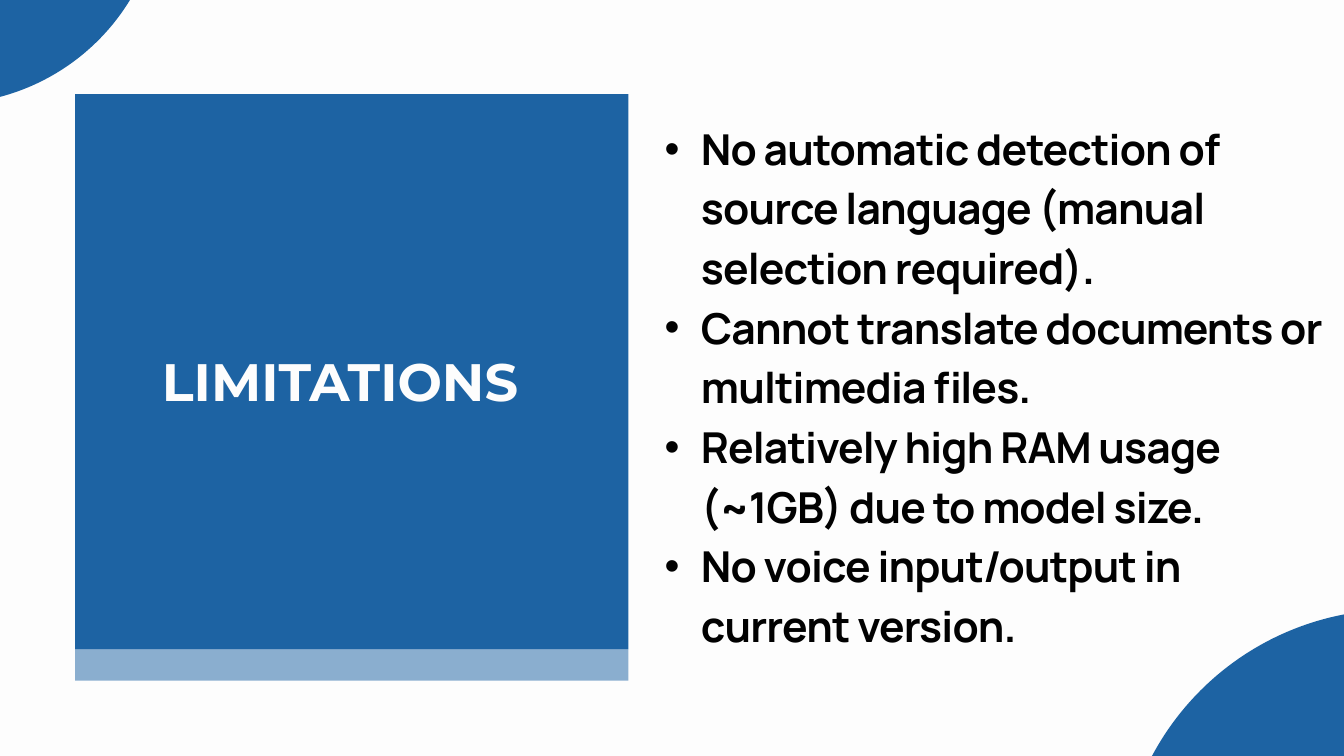
from dataclasses import dataclass

from lxml.etree import SubElement
from pptx import Presentation
from pptx.dml.color import RGBColor
from pptx.enum.shapes import MSO_SHAPE
from pptx.enum.text import MSO_ANCHOR, MSO_AUTO_SIZE, PP_ALIGN
from pptx.oxml.ns import qn
from pptx.util import Inches, Pt

# Grid of square cells covering the slide
COLUMNS, ROWS = 20, 11.25
CELL = Inches(1)

BLUE, PAPER, INK = "145DA0", "FDFDFD", "010101"
PANEL_LEFT, PANEL_WIDTH = 1.12, 8.23
PANEL_RIGHT = PANEL_LEFT + PANEL_WIDTH
PANEL_TOP, PANEL_HEIGHT = 1.4, 8.26
LIMITATIONS = (
    "No automatic detection of source language (manual selection required).",
    "Cannot translate documents or multimedia files.",
    "Relatively high RAM usage (~1GB) due to model size.",
    "No voice input/output in current version.",
)


@dataclass(frozen=True)
class Area:
    column: float
    row: float
    columns: float
    rows: float

    def box(self) -> dict:
        return {
            "left": int(self.column * CELL),
            "top": int(self.row * CELL),
            "width": int(self.columns * CELL),
            "height": int(self.rows * CELL),
        }


@dataclass(frozen=True)
class Decoration:
    preset: MSO_SHAPE
    area: Area
    opacity: int


@dataclass(frozen=True)
class TextStyle:
    typeface: str
    size: float
    color: str
    leading: float
    tracking: float = 0
    level: int = 0
    bullet_indent: float = 0


DECORATIONS = (
    Decoration(MSO_SHAPE.RECTANGLE, Area(PANEL_LEFT, PANEL_TOP, PANEL_WIDTH, PANEL_HEIGHT), 96),
    Decoration(MSO_SHAPE.RECTANGLE,
               Area(PANEL_LEFT, PANEL_TOP + PANEL_HEIGHT, PANEL_WIDTH, 0.47), 49),
    Decoration(MSO_SHAPE.OVAL, Area(16.66, 9.07, 8.23, 8.23), 96),
    Decoration(MSO_SHAPE.OVAL, Area(-4.07, -4.93, 6.48, 6.48), 96),
)
TITLE_STYLE = TextStyle("Montserrat", 56.4, PAPER, 79)
LIST_STYLE = TextStyle("Manrope", 45.6, INK, 63.9, tracking=-0.9, level=1, bullet_indent=0.54)


def rgb(color: str) -> RGBColor:
    return RGBColor.from_string(color)


def apply(target, values: dict) -> None:
    for name, value in values.items():
        setattr(target, name, value)


def draw_decoration(slide, decoration: Decoration) -> None:
    shape = slide.shapes.add_shape(decoration.preset, **decoration.area.box())
    shape.shadow.inherit = False
    shape.line.fill.background()
    shape.fill.solid()
    shape.fill.fore_color.rgb = rgb(BLUE)
    tint = shape.fill._xPr.find(f".//{qn('a:srgbClr')}")
    SubElement(tint, qn("a:alpha"), val=str(decoration.opacity * 1000))


def add_bullet(paragraph, indent: float) -> None:
    properties = paragraph._p.get_or_add_pPr()
    properties.set("marL", str(Inches(2 * indent)))
    properties.set("indent", str(-Inches(indent)))
    SubElement(properties, qn("a:buChar"), char="•")


def fill_placeholder(slide, placeholder, area: Area, lines: tuple, style: TextStyle) -> None:
    apply(placeholder, area.box())
    # Text stands in front of the panel
    slide.shapes._spTree.append(placeholder._element)
    frame = placeholder.text_frame
    apply(frame, {
        "text": "\n".join(lines),
        "word_wrap": True,
        "auto_size": MSO_AUTO_SIZE.SHAPE_TO_FIT_TEXT,
        "vertical_anchor": MSO_ANCHOR.TOP,
        "margin_left": 0, "margin_right": 0, "margin_top": 0, "margin_bottom": 0,
    })
    for paragraph in frame.paragraphs:
        if style.bullet_indent:
            add_bullet(paragraph, style.bullet_indent)
        apply(paragraph, {
            "level": style.level,
            "alignment": PP_ALIGN.LEFT,
            "line_spacing": Pt(style.leading),
            "space_before": Pt(0),
        })
        for run in paragraph.runs:
            apply(run.font, {"name": style.typeface, "size": Pt(style.size), "bold": True})
            run.font.color.rgb = rgb(style.color)
            run._r.get_or_add_rPr().set("spc", str(round(style.tracking * 100)))


def main() -> None:
    deck = Presentation()
    apply(deck, {"slide_width": int(COLUMNS * CELL), "slide_height": int(ROWS * CELL)})
    slide = deck.slides.add_slide(deck.slide_layouts[1])
    slide.background.fill.solid()
    slide.background.fill.fore_color.rgb = rgb(PAPER)

    # Panel with its base strip, and the corner circles
    for decoration in DECORATIONS:
        draw_decoration(slide, decoration)

    # Heading and list
    heading, limitations = slide.shapes.title, slide.placeholders[1]
    fill_placeholder(slide, heading, Area(2.41, 5.03, 5.63, 1.06), ("LIMITATIONS",), TITLE_STYLE)
    fill_placeholder(slide, limitations, Area(PANEL_RIGHT, 1.7, 10.42, 7.81),
                     LIMITATIONS, LIST_STYLE)

    deck.save("out.pptx")


if __name__ == "__main__":
    main()
